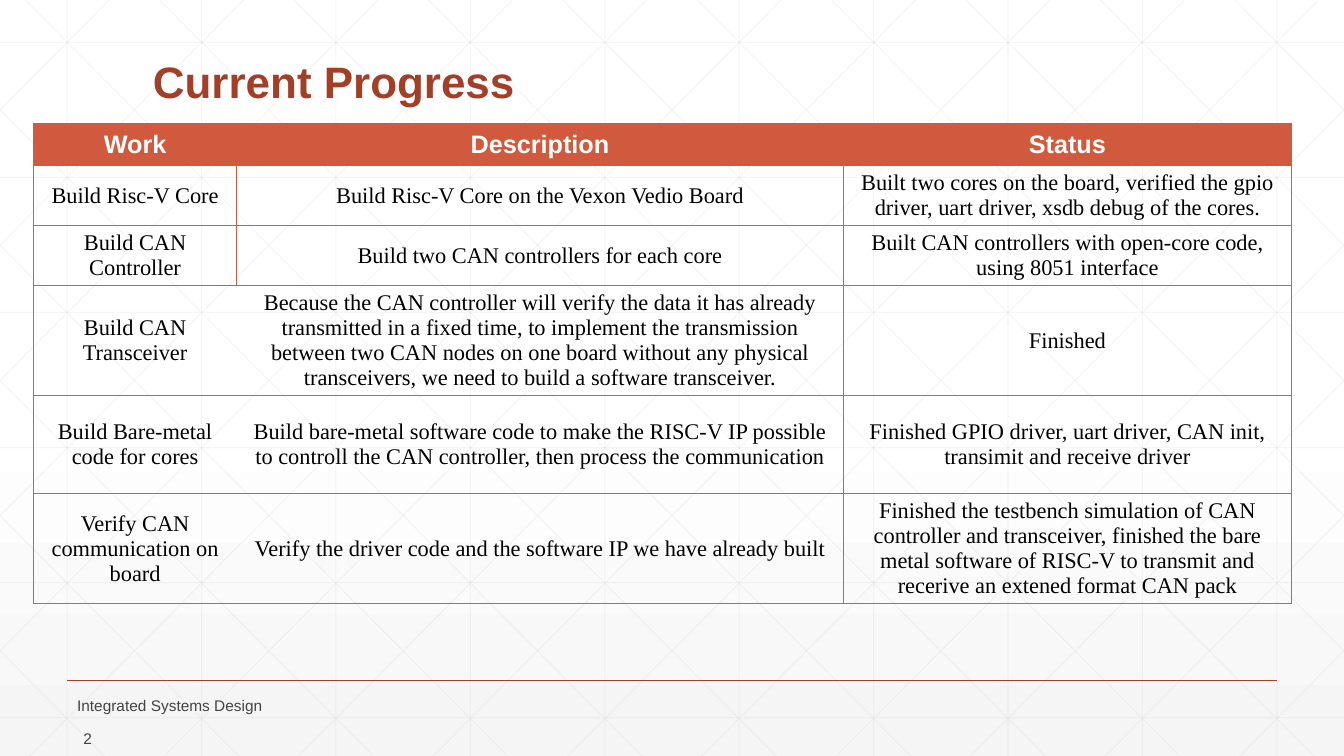
from lxml import etree
from pptx import Presentation
from pptx.dml.color import RGBColor
from pptx.enum import shapes, text
from pptx.oxml import ns
from pptx.util import Pt

WIDTH, HEIGHT = 960, 540
RUST, ORANGE, GREY = "A43F27", "D15A3E", "7F7F7F"


def colour(code):
    return RGBColor.from_string(code)


def add_line(x1, y1, x2, y2, code, width, opacity=100):
    """Draw a straight line without shadow; opacity is in percent."""
    line = page.shapes.add_connector(
        shapes.MSO_CONNECTOR.STRAIGHT, Pt(x1), Pt(y1), Pt(x2), Pt(y2))
    line.line.color.rgb = colour(code)
    line.line.width = Pt(width)
    properties = line._element.spPr
    etree.SubElement(properties, ns.qn("a:effectLst"))
    if opacity < 100:
        tint = properties.find(".//" + ns.qn("a:srgbClr"))
        etree.SubElement(tint, ns.qn("a:alpha"), val=str(opacity * 1000))


deck = Presentation()
deck.slide_width, deck.slide_height = Pt(WIDTH), Pt(HEIGHT)
page = deck.slides.add_slide(deck.slide_layouts[5])

# Background fading to light grey
backdrop = page.background.fill
backdrop.gradient()
backdrop.gradient_angle = 270
for stop, position, code in zip(backdrop.gradient_stops, (0.53, 1), ("FFFFFF", "F5F5F5")):
    stop.position = position
    stop.color.rgb = colour(code)

# Faint grid: verticals, horizontals and two mirrored sets of diagonals
GRID = ("D9D9D9", 0.75, 25)
for i in range(10):
    x = 48 + 96 * i
    add_line(x, 0, x, HEIGHT, *GRID)
for i in range(6):
    y = 30.24 + 96.48 * i
    add_line(0, y, WIDTH, y, *GRID)
slope = HEIGHT / 536.6
for i in range(-5, 10):
    start = 18 + 96 * i
    top = max(0, -start * slope)
    bottom = min(HEIGHT, (WIDTH - start) * slope)
    left, right = start + top / slope, start + bottom / slope
    add_line(left, top, right, bottom, *GRID)
    add_line(WIDTH - left, top, WIDTH - right, bottom, *GRID)

add_line(48, 486, 912, 486, RUST, 1)

# Title, lifted above the grid
title = page.shapes.title
page.shapes._spTree.append(title._element)
title.left, title.top, title.width, title.height = Pt(102), Pt(39.6), Pt(756), Pt(41)
title.text_frame.text = "Current Progress"
title.text_frame.auto_size = text.MSO_AUTO_SIZE.NONE
title.text_frame.vertical_anchor = text.MSO_ANCHOR.MIDDLE
para = title.text_frame.paragraphs[0]
para.alignment = text.PP_ALIGN.LEFT
para.line_spacing = 0.9
font = para.runs[0].font
font.name, font.size, font.bold = "Arial", Pt(31.4), True
font.color.rgb = colour(RUST)

# Progress table
rows = [
    ("Work", "Description", "Status"),
    ("Build Risc-V Core", "Build Risc-V Core on the Vexon Vedio Board",
     "Built two cores on the board, verified the gpio driver, uart driver, "
     "xsdb debug of the cores."),
    ("Build CAN Controller", "Build two CAN controllers for each core",
     "Built CAN controllers with open-core code, using 8051 interface"),
    ("Build CAN Transceiver",
     "Because the CAN controller will verify the data it has already transmitted "
     "in a fixed time, to implement the transmission between two CAN nodes on one "
     "board without any physical transceivers, we need to build a software transceiver.",
     "Finished"),
    ("Build Bare-metal code for cores",
     "Build bare-metal software code to make the RISC-V IP possible to controll "
     "the CAN controller, then process the communication",
     "Finished GPIO driver, uart driver, CAN init, transimit and receive driver"),
    ("Verify CAN communication on board",
     "Verify the driver code and the software IP we have already built",
     "Finished the testbench simulation of CAN controller and transceiver, finished "
     "the bare metal software of RISC-V to transmit and recerive an extened format "
     "CAN pack"),
]
column_widths = (145, 433.5, 320)
row_heights = (30, 42.8, 42.8, 78.5, 70.2, 78.5)
frame = page.shapes.add_table(len(rows), 3, Pt(24), Pt(88.4),
                              Pt(sum(column_widths)), Pt(sum(row_heights)))
table = frame.table
table.horz_banding = False
for column, width in zip(table.columns, column_widths):
    column.width = Pt(width)
for row, height in zip(table.rows, row_heights):
    row.height = Pt(height)

for r, row in enumerate(rows):
    header = r == 0
    edge = ORANGE if header else GREY
    divider = ORANGE if r < 3 else None  # between Work and Description
    for c, words in enumerate(row):
        cell = table.cell(r, c)
        cell.text_frame.text = words
        cell.vertical_anchor = text.MSO_ANCHOR.MIDDLE
        cell.margin_left = cell.margin_right = Pt(9.4)
        cell.margin_top = cell.margin_bottom = Pt(3.6)
        para = cell.text_frame.paragraphs[0]
        para.alignment = text.PP_ALIGN.CENTER
        font = para.runs[0].font
        font.name = "Arial" if header else "Times New Roman"
        font.size = Pt(18 if header else 16)
        font.bold = header
        font.color.rgb = colour("FFFFFF" if header else "000000")
        borders = {
            "a:lnL": divider if c == 1 else edge,
            "a:lnR": divider if c == 0 else edge,
            "a:lnT": ORANGE if r < 2 else GREY,
            "a:lnB": edge,
        }
        properties = cell._tc.get_or_add_tcPr()
        for side, code in borders.items():
            border = etree.SubElement(properties, ns.qn(side), w=str(Pt(0.5)))
            if code:
                paint = etree.SubElement(border, ns.qn("a:solidFill"))
                etree.SubElement(paint, ns.qn("a:srgbClr"), val=code)
            else:
                etree.SubElement(border, ns.qn("a:noFill"))
        if header:
            cell.fill.solid()
            cell.fill.fore_color.rgb = colour(ORANGE)
        else:
            cell.fill.background()

# Footer and page number
for words, left, top, width, alignment in (
    ("Integrated Systems Design", 48, 495.4, 482, text.PP_ALIGN.LEFT),
    ("2", 0.7, 519.1, 72, text.PP_ALIGN.RIGHT),
):
    box = page.shapes.add_textbox(Pt(left), Pt(top), Pt(width), Pt(17.3))
    box.text_frame.text = words
    box.text_frame.word_wrap = True
    box.text_frame.vertical_anchor = text.MSO_ANCHOR.MIDDLE
    para = box.text_frame.paragraphs[0]
    para.alignment = alignment
    font = para.runs[0].font
    font.name, font.size = "Arial", Pt(11)
    font.color.rgb = colour("424342")

deck.save("out.pptx")
